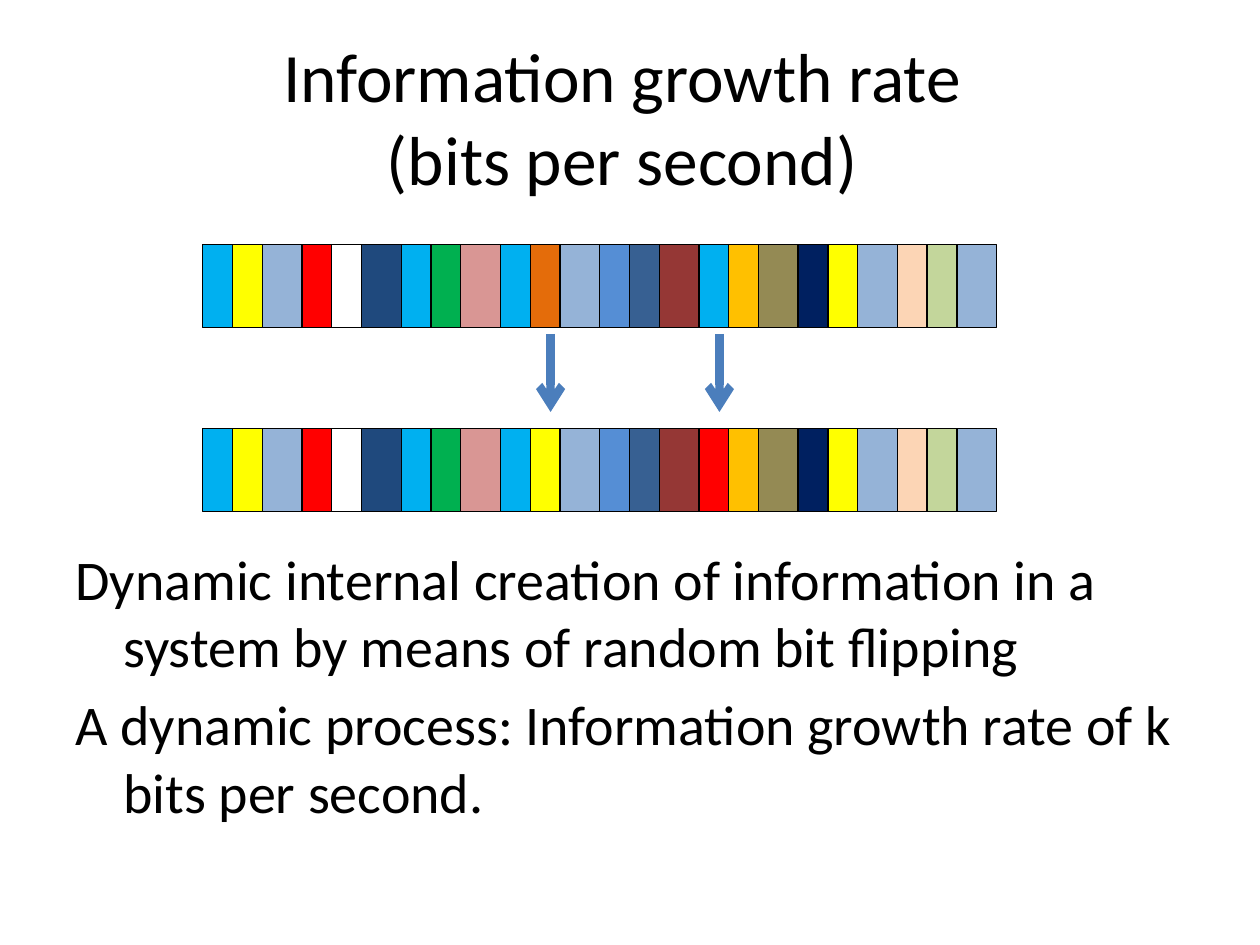
from lxml.etree import SubElement
from pptx import Presentation
from pptx.dml.color import RGBColor
from pptx.enum.shapes import MSO_CONNECTOR, MSO_SHAPE
from pptx.enum.text import MSO_ANCHOR, MSO_AUTO_SIZE, PP_ALIGN
from pptx.oxml.ns import qn
from pptx.util import Inches, Pt

BITS = (
    "00B0F0 FFFF00 95B3D7 FF0000 FFFFFF 1F497D 00B0F0 00B050 D99694 "
    "00B0F0 E46C0A 95B3D7 558ED5 376092 953735 00B0F0 FFC000 948A54 "
    "002060 FFFF00 95B3D7 FCD5B5 C3D69B 95B3D7"
).split()
FLIPS = {10: "FFFF00", 15: "FF0000"}
UNITS = (3, 3, 4)


def color(code):
    return RGBColor.from_string(code)


def style(para, size):
    para.font.name = "Calibri"
    para.font.size = Pt(size)
    para.font.color.rgb = color("000000")


def add_title(slide, left, top, width, height):
    title = slide.shapes.title
    title.left, title.top = Inches(left), Inches(top)
    title.width, title.height = Inches(width), Inches(height)
    frame = title.text_frame
    frame.text = "Information growth rate \v(bits per second) "
    frame.auto_size = MSO_AUTO_SIZE.NONE
    frame.vertical_anchor = MSO_ANCHOR.MIDDLE
    frame.paragraphs[0].alignment = PP_ALIGN.CENTER
    style(frame.paragraphs[0], 39.6)


def add_strip(slide, codes, left, top, width, height):
    sizes = [UNITS[i % len(UNITS)] for i in range(len(codes))]
    unit = width / sum(sizes)
    for code, size in zip(codes, sizes):
        cell = slide.shapes.add_shape(
            MSO_SHAPE.RECTANGLE, Inches(left), Inches(top),
            Inches(size * unit), Inches(height))
        cell.shadow.inherit = False
        cell.fill.solid()
        cell.fill.fore_color.rgb = color(code)
        cell.line.color.rgb = color("000000")
        cell.line.width = Pt(0.75)
        left += size * unit


def add_arrow(slide, x, top, height):
    arrow = slide.shapes.add_connector(
        MSO_CONNECTOR.STRAIGHT, Inches(x), Inches(top),
        Inches(x), Inches(top + height))
    arrow.line.color.rgb = color("4B7EBC")
    arrow.line.width = Pt(4.75)
    SubElement(arrow.line._get_or_add_ln(), qn("a:tailEnd"), type="arrow")
    SubElement(arrow._element.spPr, qn("a:effectLst"))


def add_body(slide, lines, left, top, width, height):
    box = slide.shapes.add_textbox(
        Inches(left), Inches(top), Inches(width), Inches(height))
    frame = box.text_frame
    frame.word_wrap = True
    frame.text = "\n".join(lines)
    for i, para in enumerate(frame.paragraphs):
        props = para._p.get_or_add_pPr()
        props.set("marL", str(Inches(0.38)))
        props.set("indent", str(Inches(-0.38)))
        if i:
            para.space_before = Pt(6.4)
        style(para, 32)


def main():
    deck = Presentation()
    deck.slide_width, deck.slide_height = Inches(10), Inches(7.5)
    slide = deck.slides.add_slide(deck.slide_layouts[5])
    add_title(slide, 0.5, 0.3, 9, 1.25)
    flipped = [FLIPS.get(i, code) for i, code in enumerate(BITS)]
    for codes, top in ((BITS, 1.94), (flipped, 3.4)):
        add_strip(slide, codes, 1.61, top, 6.3, 0.66)
    for x in (4.37, 5.71):
        add_arrow(slide, x, 2.65, 0.62)
    add_body(slide, (
        "Dynamic internal creation of information in a system by means of "
        "random bit flipping",
        "A dynamic process: Information growth rate of k bits per second.",
    ), 0.5, 4.27, 9, 2.43)
    deck.save("out.pptx")


if __name__ == "__main__":
    main()
